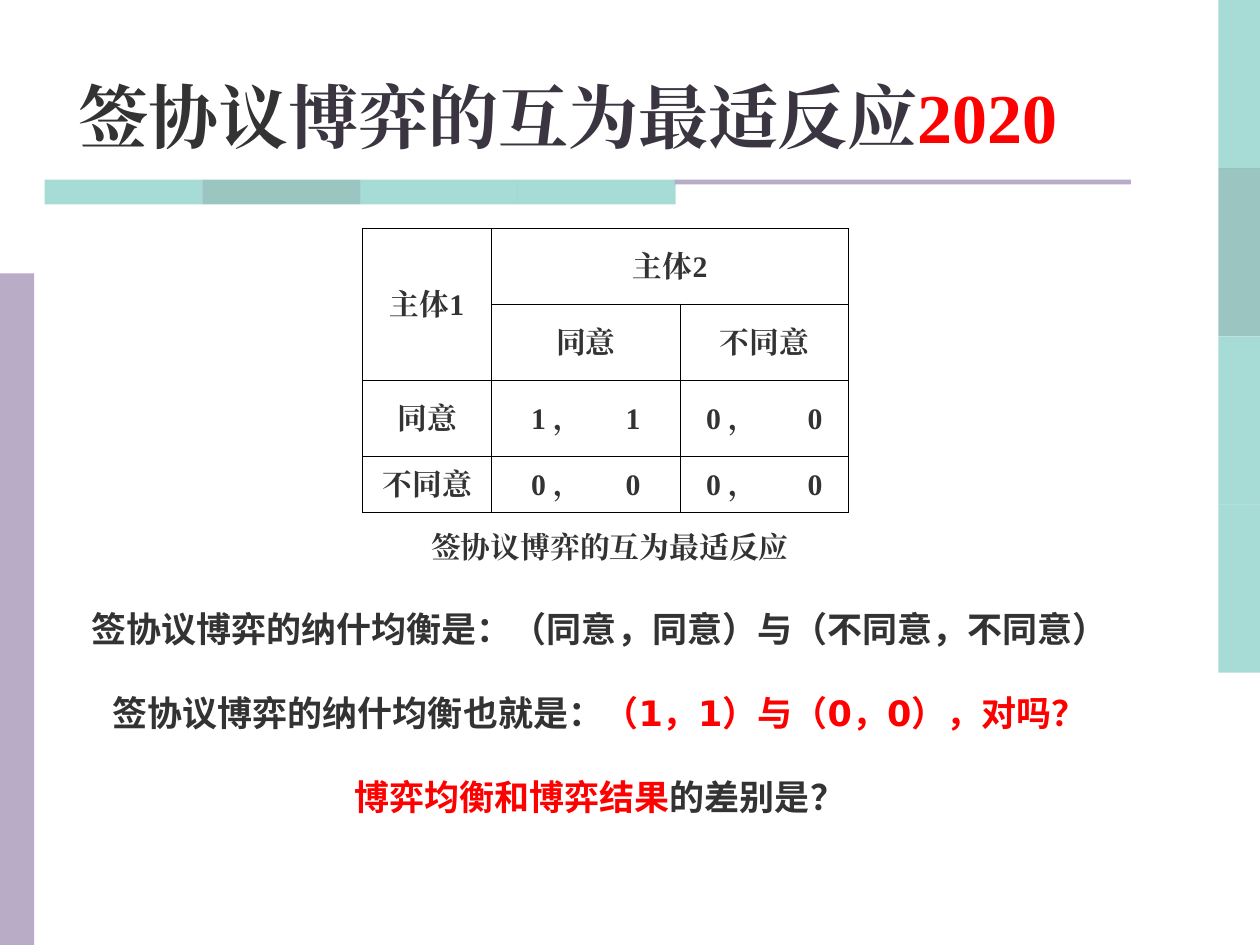
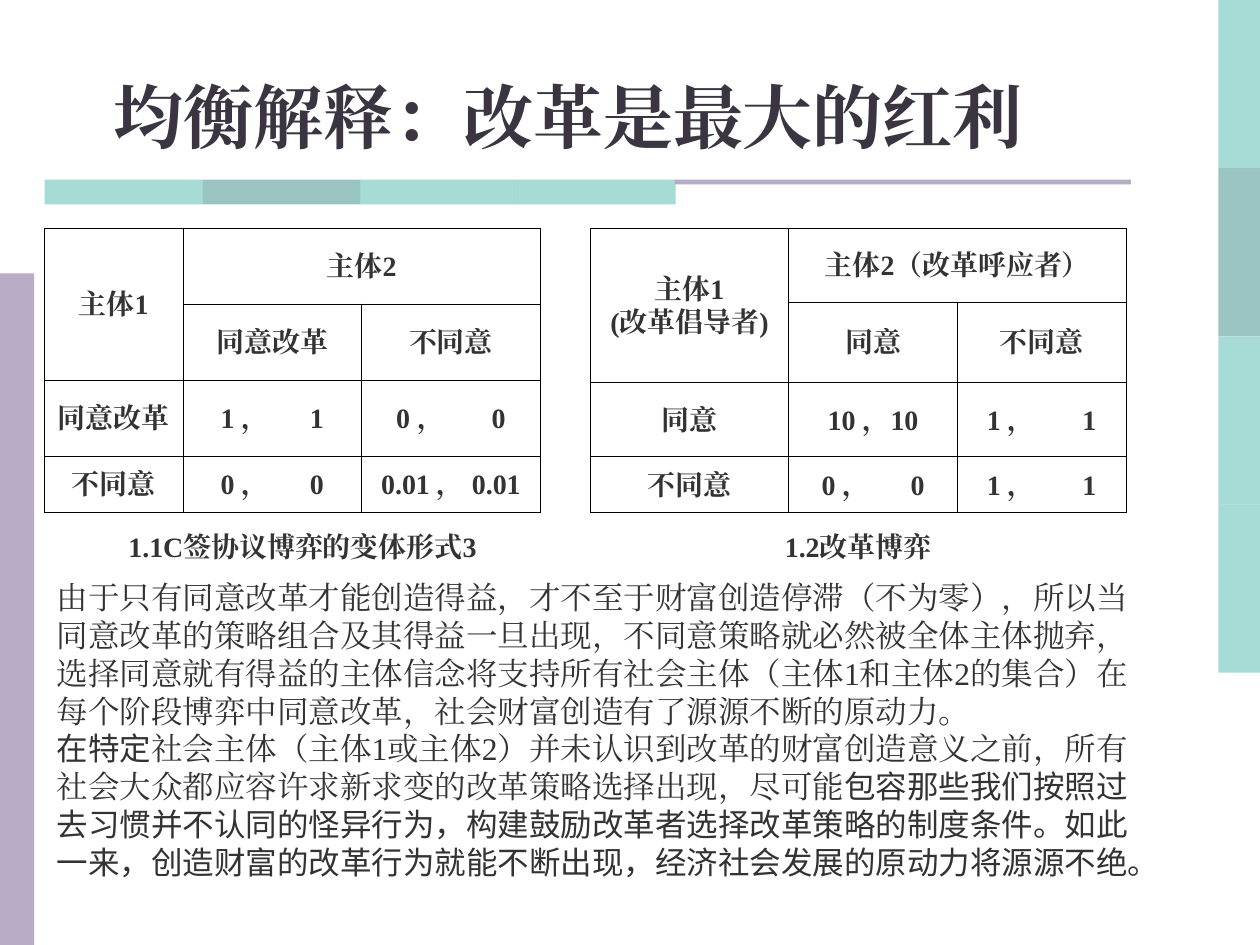
from lxml import etree
from pptx import Presentation
from pptx import util as u
from pptx.dml.color import RGBColor
from pptx.enum import shapes, text
from pptx.oxml.ns import qn

COLORS = {"teal": "51B9AF", "deep": "398D85", "lilac": "B8ACC6", "ink": "333333",
          "plum": "3A3541", "red": "FF0000", "line": "000000"}
SERIF, SANS, CJK = "Times New Roman", "DejaVu Sans", "Noto Sans CJK SC"
LEFT, MIDDLE = text.PP_ALIGN.LEFT, text.PP_ALIGN.CENTER
BODY_LEFT, BODY_WIDTH = 0.89, 22.4
TABLE_TOP, CAPTION_TOP = 4.6, 10.54
CELL_MARGIN = 0.15


class Deck:
    """Holds the style and the slide being built; lengths are centimetres."""

    def __init__(self):
        self.prs = Presentation()
        self.prs.slide_width, self.prs.slide_height = u.Cm(25.4), u.Cm(19.05)

    def new_slide(self, *title):
        self.s = self.prs.slides.add_slide(self.prs.slide_layouts[6])
        for i, color in enumerate(("teal", "deep", "teal", "teal")):
            self.band(24.56, i * 3.39, 0.84, 3.39, color, 50)
            self.band(0.9 + i * 3.18, 3.62, 3.18, 0.5, color, 50)
        self.band(0, 5.51, 0.69, 13.54, "lilac")
        self.band(13.6, 3.62, 9.2, 0.1, "lilac")
        self.textbox(0, 1.12, 22.91, 2.18, [title], 40, bold=True,
                     anchor=text.MSO_ANCHOR.BOTTOM)

    def band(self, x, y, w, h, color, opacity=100):
        sp = self.s.shapes.add_shape(shapes.MSO_SHAPE.RECTANGLE,
                                     u.Cm(x), u.Cm(y), u.Cm(w), u.Cm(h))
        sp.shadow.inherit = False
        sp.line.fill.background()
        sp.fill.solid()
        sp.fill.fore_color.rgb = RGBColor.from_string(COLORS[color])
        if opacity < 100:
            clr = sp._element.spPr.find(".//" + qn("a:srgbClr"))
            etree.SubElement(clr, qn("a:alpha"), val=str(opacity * 1000))

    def add_runs(self, tf, paragraphs, size, bold=False, align=MIDDLE, gap=0):
        """Fill a frame; each paragraph is a list of (text, colour, font) runs."""
        for i, runs in enumerate(paragraphs):
            p = tf.paragraphs[0] if i == 0 else tf.add_paragraph()
            p.alignment = align
            p.line_spacing = u.Pt(size * 1.2)
            if i:
                p.space_before = u.Pt(gap)
            for content, color, font in runs:
                r = p.add_run()
                r.text = content
                r.font.size, r.font.bold, r.font.name = u.Pt(size), bold, font
                r.font.color.rgb = RGBColor.from_string(COLORS[color])
                latin = r._r.rPr.find(qn("a:latin"))
                latin.addnext(etree.Element(qn("a:ea"), typeface=font))

    def textbox(self, x, y, w, h, paragraphs, size, anchor=text.MSO_ANCHOR.TOP, **style):
        sp = self.s.shapes.add_textbox(u.Cm(x), u.Cm(y), u.Cm(w), u.Cm(h))
        tf = sp.text_frame
        tf.word_wrap, tf.vertical_anchor = True, anchor
        self.add_runs(tf, paragraphs, size, **style)

    def caption(self, x, content, size):
        self.textbox(x, CAPTION_TOP, 9.2, 0.96, [[(content, "ink", SERIF)]], size,
                     bold=True, anchor=text.MSO_ANCHOR.MIDDLE)

    def game_table(self, x, cols, rows, cells, size):
        """Payoff matrix: row player merged down, column player merged across."""
        frame = self.s.shapes.add_table(4, 3, u.Cm(x), u.Cm(TABLE_TOP),
                                        u.Cm(sum(cols)), u.Cm(sum(rows)))
        table = frame.table
        table.first_row = table.horz_banding = False
        for column, width in zip(table.columns, cols):
            column.width = u.Cm(width)
        for row, height in zip(table.rows, rows):
            row.height = u.Cm(height)
        table.cell(0, 0).merge(table.cell(1, 0))
        table.cell(0, 1).merge(table.cell(0, 2))
        for i, row in enumerate(cells):
            for j, content in enumerate(row):
                cell = table.cell(i, j)
                self.frame_cell(cell)
                if not content:
                    continue
                lines = [[(line, "ink", SERIF)] for line in content.split("\n")]
                tabbed = "\t" in content
                self.add_runs(cell.text_frame, lines, size, bold=True,
                              align=LEFT if tabbed else MIDDLE)
                if tabbed:
                    self.centre_payoffs(cell, cols[j], size, j)

    def frame_cell(self, cell):
        cell.vertical_anchor = text.MSO_ANCHOR.MIDDLE
        cell.margin_left = cell.margin_right = u.Cm(CELL_MARGIN)
        cell.fill.background()
        tcPr = cell._tc.get_or_add_tcPr()
        for i, side in enumerate(("lnL", "lnR", "lnT", "lnB")):
            ln = etree.Element(qn("a:" + side), w=str(u.Pt(0.45)))
            fill = etree.SubElement(ln, qn("a:solidFill"))
            etree.SubElement(fill, qn("a:srgbClr"), val=COLORS["line"])
            tcPr.insert(i, ln)

    def centre_payoffs(self, cell, width, size, column):
        """Put the second payoff on a tab stop and centre the pair in the cell."""
        em = size * 2.54 / 72
        stop = em * (2.95 + 0.23 * column)
        cell.margin_left = u.Cm((width - stop - em / 2) / 2)
        pPr = cell.text_frame.paragraphs[0]._p.get_or_add_pPr()
        tabs = etree.SubElement(pPr, qn("a:tabLst"))
        etree.SubElement(tabs, qn("a:tab"), pos=str(u.Cm(stop)), algn="l")


def agreement_slide(deck):
    deck.new_slide(("签协议", "ink", SERIF), ("博弈的互为最适反应", "plum", SERIF),
                   ("2020", "red", SERIF))
    deck.caption(7.7, "签协议博弈的互为最适反应", 17)
    deck.game_table(7.31, (2.6, 3.8, 3.4), (1.53, 1.53, 1.53, 1.14), [
        ("主体1", "主体2", ""),
        ("", "同意", "不同意"),
        ("同意", "1 ，\t1", "0 ，\t0"),
        ("不同意", "0 ，\t0", "0 ，\t0")], 17)
    deck.textbox(BODY_LEFT, 12.12, BODY_WIDTH, 4.5, [
        [("签协议博弈的纳什均衡是：（同意，同意）与（不同意，不同意）", "ink", SANS)],
        [("签协议博弈的纳什均衡也就是：", "ink", SANS),
         ("（1，1）与（0，0），对吗？", "red", SANS)],
        [("博弈均衡和博弈结果", "red", CJK), ("的差别是？", "ink", CJK)]],
        20, bold=True, gap=24)


def reform_slide(deck):
    deck.new_slide(("均衡解释：改革是最大的红利", "plum", SERIF))
    deck.caption(1.5, "1.1C签协议博弈的变体形式3", 16)
    deck.game_table(BODY_LEFT, (2.8, 3.6, 3.6), (1.53, 1.53, 1.53, 1.14), [
        ("主体1", "主体2", ""),
        ("", "同意改革", "不同意"),
        ("同意改革", "1 ，\t1", "0 ，\t0"),
        ("不同意", "0 ，\t0", "0.01 ， 0.01")], 16)
    deck.textbox(BODY_LEFT, 11.53, BODY_WIDTH, 7.11, [
        [("由于只有同意改革才能创造得益，才不至于财富创造停滞（不为零），所以当同意改革的"
          "策略组合及其得益一旦出现，不同意策略就必然被全体主体抛弃，选择同意就有得益的"
          "主体信念将支持所有社会主体（主体1和主体2的集合）在每个阶段博弈中同意改革，"
          "社会财富创造有了源源不断的原动力。", "ink", SERIF)],
        [("在特定", "ink", SANS),
         ("社会主体（主体1或主体2）并未认识到改革的财富创造意义之前，所有社会大众都应"
          "容许求新求变的改革策略选择出现，尽可能", "ink", SERIF),
         ("包容那些我们按照过去习惯并不认同的怪异行为，构建鼓励改革者选择改革策略的制度"
          "条件。如此一来，创造财富的改革行为就能不断出现，经济社会发展的原动力将源源"
          "不绝。", "ink", SANS)]], 18, align=LEFT)
    deck.game_table(11.9, (4, 3.4, 3.4), (1.49, 1.62, 1.49, 1.13), [
        ("主体1\n(改革倡导者)", "主体2（改革呼应者）", ""),
        ("", "同意", "不同意"),
        ("同意", "10 ，10", "1 ，\t1"),
        ("不同意", "0 ，\t0", "1 ，\t1")], 16)
    deck.caption(12.7, "1.2改革博弈", 16)


def main():
    deck = Deck()
    agreement_slide(deck)
    reform_slide(deck)
    deck.prs.save("out.pptx")


if __name__ == "__main__":
    main()
